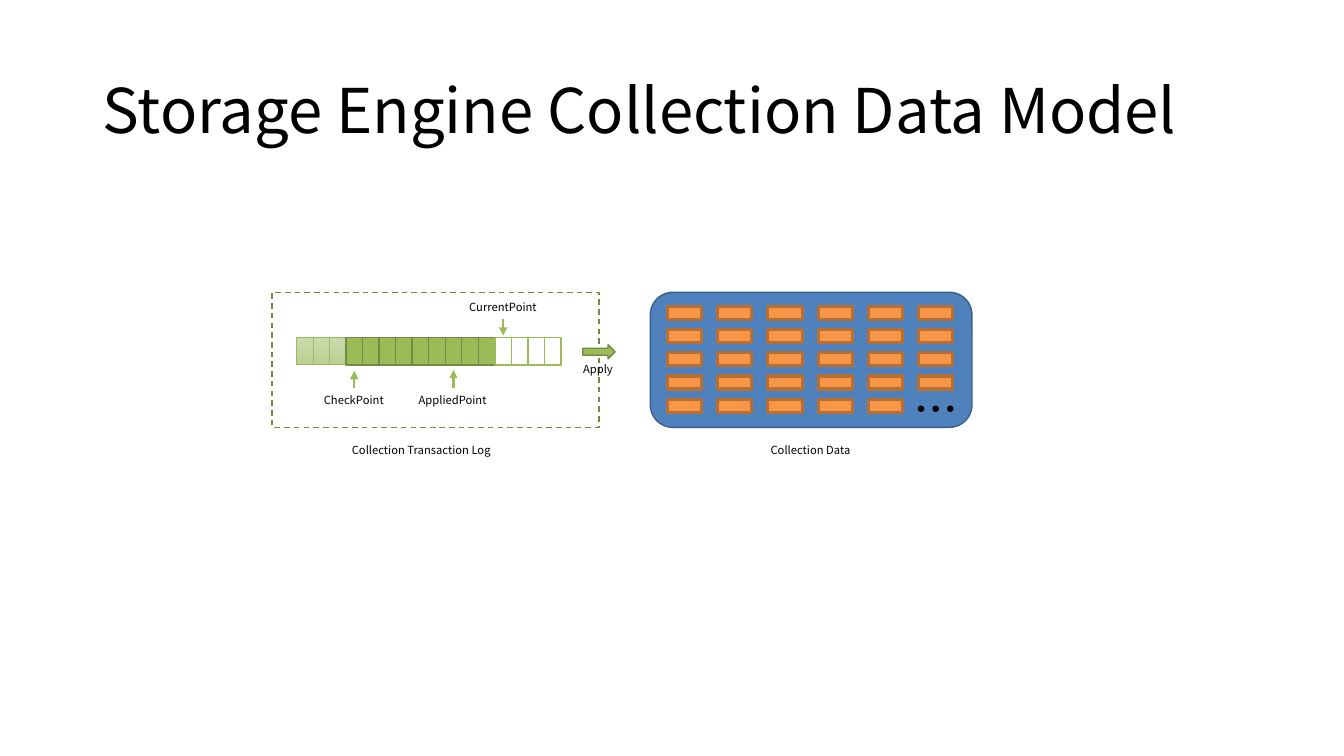
from dataclasses import dataclass
from lxml import etree
from pptx import Presentation
from pptx import util as u
from pptx.dml.color import RGBColor
from pptx.enum import dml, shapes, text
from pptx.oxml import ns

TITLE = "Storage Engine Collection Data Model"
LABELS = [
    ("CheckPoint", 2.98, 3.85, 1.06),
    ("CurrentPoint", 4.46, 2.93, 1.06),
    ("AppliedPoint", 3.96, 3.85, 1.06),
    ("Apply", 5.62, 3.55, 0.62),
    ("Collection Transaction Log", 3.3, 4.35, 1.76),
    ("Collection Data", 7.16, 4.35, 1.76),
]
ARROWS = [(3.5, 3.85, 3.68), (12.5, 3.16, 3.33), (9.5, 3.85, 3.67)]
LOG = ["old"] * 3 + ["done"] * 9 + ["free"] * 4
COLS, ROWS, DOTS = 6, 5, 3


@dataclass
class Theme:
    font: str = "Noto Sans CJK SC"
    head: int = 44
    note: int = 8
    ink: str = "000000"
    white: str = "FFFFFF"
    green: str = "9BBB59"
    moss: str = "738A42"
    pale: tuple = ("CADAAF", "B9D091")
    blue: str = "4F81BD"
    navy: str = "3A5F8C"
    gold: str = "F79646"
    rust: str = "B76F34"


T = Theme()
KINDS = {
    "old": (T.pale, T.green, 0.5),
    "done": (T.green, T.moss, 1),
    "free": (T.white, T.green, 1),
}
MS = shapes.MSO_SHAPE


def rgb(code):
    return RGBColor.from_string(code)


def paint(fill, tone):
    if tone is None:
        fill.background()
    elif isinstance(tone, tuple):
        fill.gradient()
        fill.gradient_angle = 270
        for stop, code in zip(fill.gradient_stops, tone):
            stop.color.rgb = rgb(code)
    else:
        fill.solid()
        fill.fore_color.rgb = rgb(tone)


def draw(home, kind, box, tone, edge, width=1):
    item = home.add_shape(kind, *map(u.Inches, box))
    item.shadow.inherit = False
    paint(item.fill, tone)
    item.line.color.rgb = rgb(edge)
    item.line.width = u.Pt(width)
    return item


def write(frame, words, size, align):
    frame.word_wrap = True
    frame.text = words
    line = frame.paragraphs[0]
    line.alignment = align
    line.font.name = T.font
    line.font.size = u.Pt(size)
    line.font.color.rgb = rgb(T.ink)
    return line


def point(home, x, start, end):
    line = home.add_connector(shapes.MSO_CONNECTOR.STRAIGHT,
                              *map(u.Inches, (x, start, x, end)))
    line.line.color.rgb = rgb(T.green)
    line.line.width = u.Pt(1.5)
    stroke = line.line._get_or_add_ln()
    etree.SubElement(stroke, ns.qn("a:tailEnd"), type="triangle")
    etree.SubElement(line._element.spPr, ns.qn("a:effectLst"))


def store(home):
    draw(home, MS.ROUNDED_RECTANGLE, (6.45, 2.9, 3.19, 1.34), T.blue, T.navy)
    for i in range(DOTS):
        draw(home, MS.OVAL, (9.11 + i * 0.145, 4.03, 0.05, 0.05), T.ink, T.ink)
    for i in range(COLS * ROWS - 1):
        row, col = divmod(i, COLS)
        box = (6.62 + col * 0.498, 3.04 + row * 0.23, 0.34, 0.13)
        draw(home, MS.RECTANGLE, box, T.gold, T.rust, 2.25)


def main():
    deck = Presentation()
    deck.slide_width, deck.slide_height = u.Inches(13.33), u.Inches(7.5)
    slide = deck.slides.add_slide(deck.slide_layouts[5])
    home = slide.shapes
    left, step = 2.94, 0.164

    head = home.title
    head.left, head.top, head.width, head.height = map(
        u.Inches, (0.92, 0.4, 11.5, 1.45))
    line = write(head.text_frame, TITLE, T.head, text.PP_ALIGN.LEFT)
    line.line_spacing = 0.9
    head.text_frame.auto_size = text.MSO_AUTO_SIZE.NONE
    head.text_frame.vertical_anchor = text.MSO_ANCHOR.MIDDLE

    frame = draw(home, MS.RECTANGLE, (2.7, 2.9, 3.24, 1.34), None, T.moss)
    frame.line.dash_style = dml.MSO_LINE.DASH
    store(home.add_group_shape().shapes)

    log = home.add_group_shape().shapes
    for i, kind in enumerate(LOG):
        draw(log, MS.RECTANGLE, (left + i * step, 3.35, step, 0.27), *KINDS[kind])

    draw(home, MS.RIGHT_ARROW, (5.78, 3.42, 0.32, 0.14), T.green, T.moss)
    for col, start, end in ARROWS:
        point(home, left + col * step, start, end)
    for words, x, y, width in LABELS:
        box = home.add_textbox(*map(u.Inches, (x, y, width, 0.24)))
        write(box.text_frame, words, T.note, text.PP_ALIGN.CENTER)
        box.text_frame.auto_size = text.MSO_AUTO_SIZE.SHAPE_TO_FIT_TEXT

    deck.save("out.pptx")


if __name__ == "__main__":
    main()
